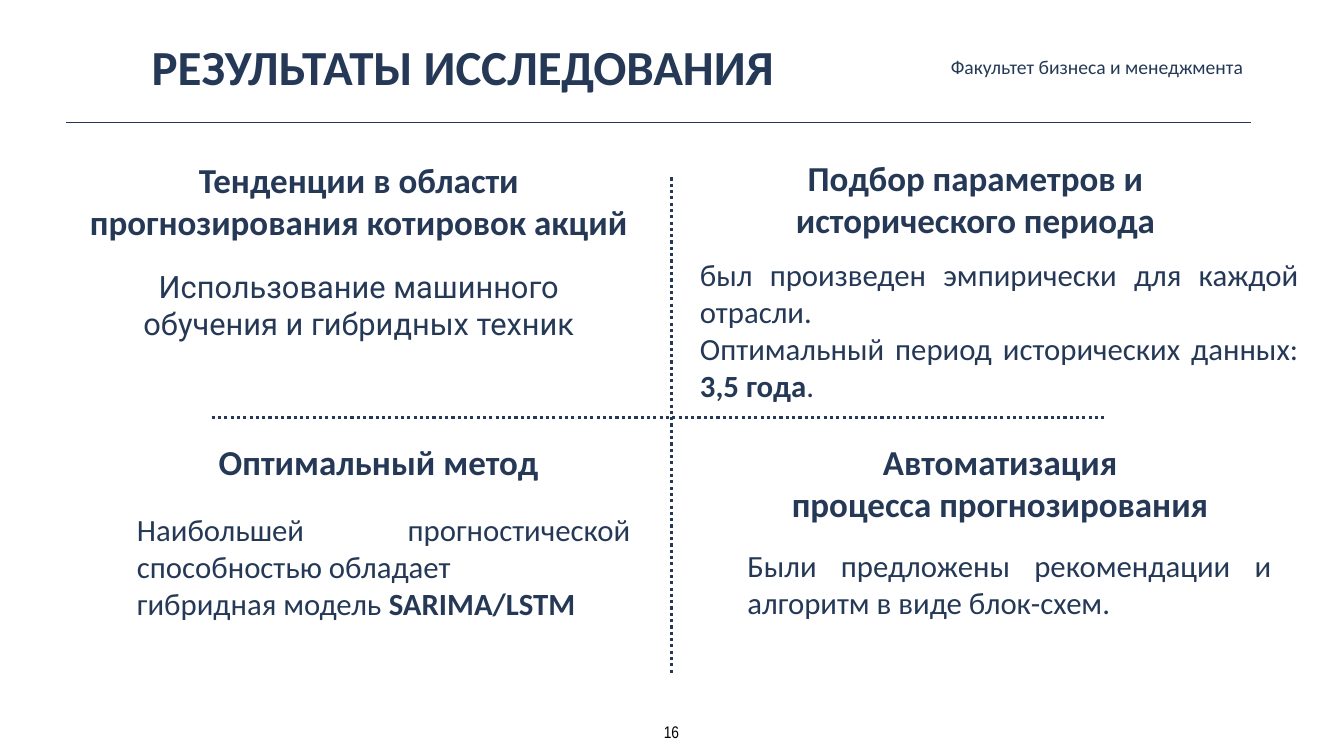
from lxml import etree
from pptx import Presentation
from pptx.dml.color import RGBColor
from pptx.enum import dml, shapes, text
from pptx.oxml.ns import qn
from pptx.util import Inches, Pt

COLORS = {"navy": "253957", "black": "000000"}
LEFT, CENTER, RIGHT, JUSTIFY = (text.PP_ALIGN.LEFT, text.PP_ALIGN.CENTER,
                                text.PP_ALIGN.RIGHT, text.PP_ALIGN.JUSTIFY)
TOP, MIDDLE = text.MSO_ANCHOR.TOP, text.MSO_ANCHOR.MIDDLE

presentation = Presentation()
presentation.slide_width = Inches(26.67)
presentation.slide_height = Inches(15)
slide = presentation.slides.add_slide(presentation.slide_layouts[6])


def add_text(box, paragraphs, size, align=CENTER, bold=False, font="Calibri",
             color="navy", anchor=MIDDLE, inset=0.08, wrap=True):
    """Add a text box; each paragraph is a list of runs, and "*" marks a bold run."""
    shape = slide.shapes.add_textbox(*map(Inches, box))
    frame = shape.text_frame
    frame.word_wrap = wrap
    frame.vertical_anchor = anchor
    if inset is not None:
        frame.margin_left = frame.margin_right = Inches(inset)
        frame.margin_top = frame.margin_bottom = Inches(inset)
    for index, runs in enumerate(paragraphs):
        paragraph = frame.add_paragraph() if index else frame.paragraphs[0]
        paragraph.alignment = align
        for content in runs:
            run = paragraph.add_run()
            run.text = content.lstrip("*")
            run.font.name = font
            run.font.size = Pt(size)
            run.font.bold = bold or content.startswith("*")
            run.font.color.rgb = RGBColor.from_string(COLORS[color])


# Header rule and the dotted cross between the quadrants
for x1, y1, x2, y2, width, dash in [
    (1.31, 2.42, 24.83, 2.42, 1, dml.MSO_LINE.SOLID),
    (4.2, 8.29, 21.92, 8.29, 4.5, dml.MSO_LINE.ROUND_DOT),
    (13.33, 3.52, 13.33, 13.37, 4.5, dml.MSO_LINE.ROUND_DOT),
]:
    line = slide.shapes.add_connector(shapes.MSO_CONNECTOR.STRAIGHT,
                                      *map(Inches, (x1, y1, x2, y2)))
    line.line.color.rgb = RGBColor.from_string(COLORS["navy"])
    line.line.width = Pt(width)
    line.line.dash_style = dash
    etree.SubElement(line._element.spPr, qn("a:effectLst"))

# Header and page number
add_text((2.93, 0.64, 13.32, 1.45), [["РЕЗУЛЬТАТЫ ИССЛЕДОВАНИЯ"]], 70,
         align=LEFT, bold=True, anchor=TOP)
add_text((12.4, 1, 12.43, 0.63), [["Факультет бизнеса и менеджмента "]], 28, align=RIGHT)
add_text((13.06, 14.23, 0.53, 0.56), [["16"]], 24, font="Arial Narrow",
         color="black", anchor=TOP, wrap=False)

# Quadrant headings
for box, lines in [
    ((1.31, 3.05, 11.63, 1.84), ["Тенденции в области прогнозирования котировок акций"]),
    ((14.55, 3.01, 9.62, 1.84), ["Подбор параметров и исторического периода"]),
    ((4.24, 8.65, 6.55, 1), ["Оптимальный метод"]),
    ((14.71, 8.65, 10.28, 1.84), ["Автоматизация", "процесса прогнозирования"]),
]:
    add_text(box, [[content] for content in lines], 50, bold=True)

# Quadrant findings
add_text((2.14, 5.22, 9.97, 1.64),
         [["Использование машинного обучения и гибридных техник"]], 44, font="Roboto")
add_text((13.81, 4.98, 12.05, 3.12),
         [["был произведен эмпирически для каждой отрасли."],
          ["Оптимальный период исторических данных: ", "*3,5 года", "."]],
         44, align=JUSTIFY)
add_text((2.62, 10.08, 10, 2.32),
         [["Наибольшей прогностической способностью обладает"],
          ["гибридная модель ", "*SARIMA/LSTM"]],
         44, align=JUSTIFY, anchor=TOP, inset=None)
add_text((14.75, 10.76, 10.57, 1.64),
         [["Были предложены рекомендации и алгоритм в виде блок-схем."]],
         44, align=JUSTIFY)

presentation.save("out.pptx")
